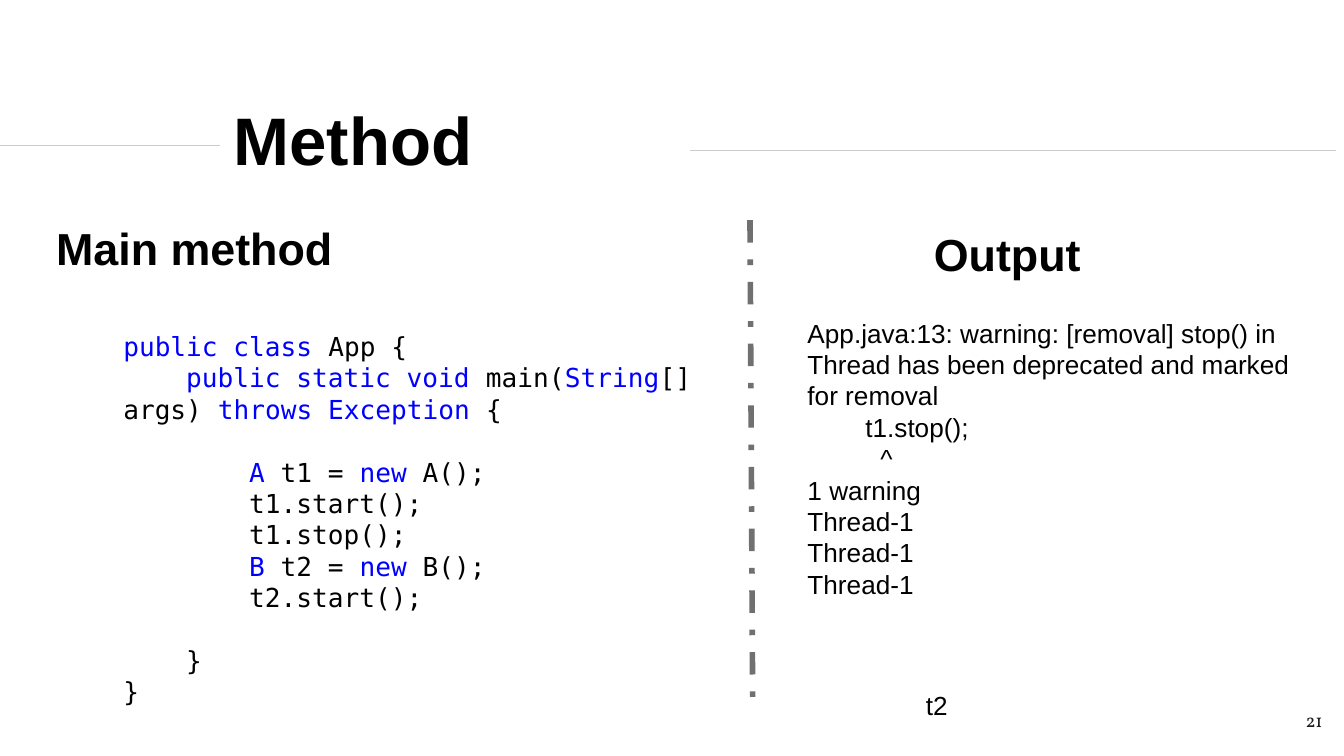
import pptx
import pptx.util
import pptx.dml.color
import pptx.enum.dml
import pptx.enum.shapes
import pptx.enum.text
import pptx.oxml.ns
import lxml.etree

Pt = pptx.util.Pt
ALIGN = pptx.enum.text.PP_ALIGN
ANCHOR = pptx.enum.text.MSO_ANCHOR
COLORS = {"text": "000000", "key": "0000FF", "rule": "CCCCCC",
          "split": "72706E", "page": "1D1D1B"}
LINE = 16.8
TAB = 33.7

CODE = [
    (0, 0, "*public class* App {"),
    (1, 0, "*public static void* main(*String*[] args) *throws Exception* {"),
    (2, 1, "*A* t1 = *new* A();"),
    (2, 0, "t1.start();"),
    (2, 0, "t1.stop();"),
    (2, 0, "*B* t2 = *new* B();"),
    (2, 0, "t2.start();"),
    (1, 1, "}"),
    (0, 0, "}"),
]
OUTPUT = [
    (0, "App.java:13: warning: [removal] stop() in Thread has been "
        "deprecated and marked for removal"),
    (31, "t1.stop();"),
    (39, "^"),
    (0, "1 warning"),
] + [(0, "Thread-1")] * 3


def paint(color, name):
    color.rgb = pptx.dml.color.RGBColor.from_string(COLORS[name])


class Page:
    def __init__(self, deck, face="Arial"):
        self.face = face
        self.slide = deck.slides.add_slide(deck.slide_layouts[6])

    def line(self, x1, y1, x2, y2, color, width, dash=None):
        line = self.slide.shapes.add_connector(
            pptx.enum.shapes.MSO_CONNECTOR.STRAIGHT,
            Pt(x1), Pt(y1), Pt(x2), Pt(y2))
        paint(line.line.color, color)
        line.line.width = Pt(width)
        if dash:
            line.line.dash_style = dash
        lxml.etree.SubElement(line._element.spPr,
                              pptx.oxml.ns.qn("a:effectLst"))

    def box(self, x, y, w, h, pad=3.6, anchor=ANCHOR.TOP):
        frame = self.slide.shapes.add_textbox(
            Pt(x), Pt(y), Pt(w), Pt(h)).text_frame
        frame.word_wrap = True
        frame.margin_top = frame.margin_bottom = Pt(pad)
        frame.vertical_anchor = anchor
        return frame

    def style(self, para, size, face=None, color="text", bold=False):
        para.font.size = Pt(size)
        para.font.name = face or self.face
        para.font.bold = bold
        if color:
            paint(para.font.color, color)

    def label(self, place, text, size, align=ALIGN.LEFT, pad=3.6,
              anchor=ANCHOR.TOP, **font):
        para = self.box(*place, pad, anchor).paragraphs[0]
        para.text = text
        para.alignment = align
        self.style(para, size, **font)

    def block(self, place, rows, size, face=None):
        frame = self.box(*place)
        for i, (indent, gap, text) in enumerate(rows):
            para = frame.add_paragraph() if i else frame.paragraphs[0]
            para.line_spacing = Pt(LINE)
            para.space_before = Pt(gap)
            para._p.get_or_add_pPr().set("indent", str(Pt(indent)))
            parts = text.split("*")
            mixed = len(parts) > 1
            self.style(para, size, face, None if mixed else "text")
            for n, part in enumerate(parts):
                if part:
                    run = para.add_run()
                    run.text = part
                    if mixed:
                        paint(run.font.color, "key" if n % 2 else "text")


def main():
    deck = pptx.Presentation()
    deck.slide_width, deck.slide_height = Pt(720), Pt(405)
    page = Page(deck)
    page.line(0, 77.8, 118, 77.8, "rule", 0.75)
    page.line(369.4, 80.6, 715.7, 80.6, "rule", 0.75)
    page.label((672.5, 373.7, 43.2, 31), "21", 10, ALIGN.RIGHT, 7.2,
               face="Vollkorn", color="page")
    page.label((23, 114.5, 195.8, 36), "Main method", 24, bold=True)
    page.label((118, 56.9, 173.5, 34.6), "Method", 36, pad=7.2,
               anchor=ANCHOR.MIDDLE, bold=True)
    page.label((488.9, 365.8, 46, 58.3), "t2", 14)
    page.block((59, 173.5, 360, 211),
               [(tabs * TAB, gap * LINE, text) for tabs, gap, text in CODE],
               14, "DejaVu Sans Mono")
    page.label((493.2, 118, 195.8, 36), "Output", 24, bold=True)
    page.line(401.8, 118, 403.2, 373.7, "split", 3,
              pptx.enum.dml.MSO_LINE.DASH_DOT)
    page.block((425.5, 166.3, 275.8, 159.8),
               [(indent, 0, text) for indent, text in OUTPUT], 14)
    deck.save("out.pptx")


if __name__ == "__main__":
    main()
